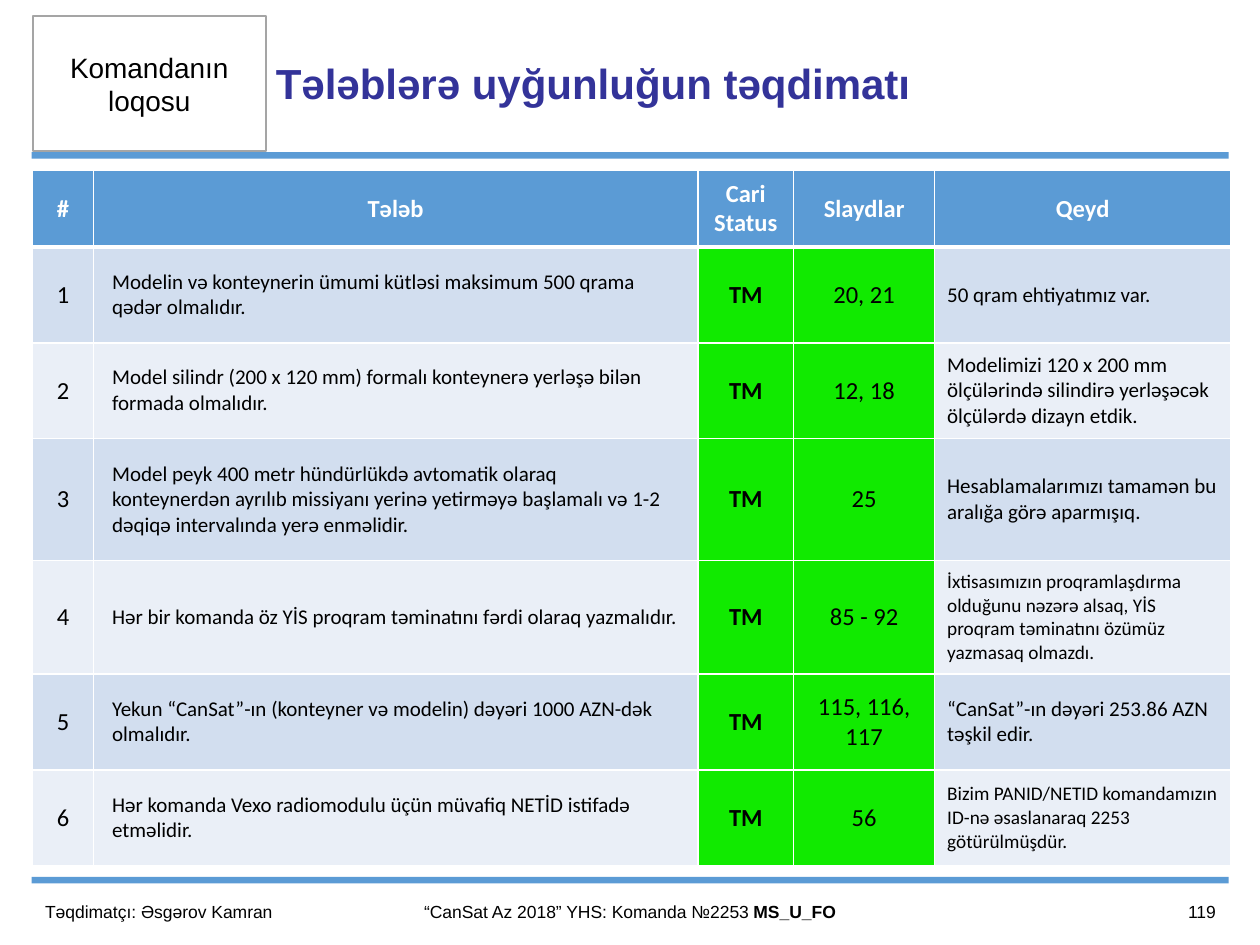
from lxml import etree
from pptx import Presentation
from pptx.dml.color import RGBColor
from pptx.enum.shapes import MSO_SHAPE
from pptx.enum.text import MSO_ANCHOR, MSO_AUTO_SIZE, PP_ALIGN
from pptx.oxml.ns import qn
from pptx.util import Cm, Pt

RECT = MSO_SHAPE.RECTANGLE
MID = MSO_ANCHOR.MIDDLE
LEFT, CENTER, RIGHT = PP_ALIGN.LEFT, PP_ALIGN.CENTER, PP_ALIGN.RIGHT

HUES = {"blue": "5B9BD5", "navy": "333399", "gray": "A5A5A5", "green": "11EA00",
        "odd": "D2DEEF", "even": "EAEFF7", "white": "FFFFFF", "black": "000000"}
RGB = {name: RGBColor.from_string(code) for name, code in HUES.items()}


def write(para, text, hue="black", **form):
    run = para.add_run()
    run.text = text
    for name, value in form.items():
        setattr(run.font, name, value)
    run.font.color.rgb = RGB[hue]


def edge(cell, top, base):
    """Draw white borders; must run before the cell gets its fill."""
    props = cell._tc.get_or_add_tcPr()
    for side, width in {"L": 1, "R": 1, "T": top, "B": base}.items():
        line = etree.SubElement(props, qn(f"a:ln{side}"), w=str(Pt(width)))
        fill = etree.SubElement(line, qn("a:solidFill"))
        etree.SubElement(fill, qn("a:srgbClr"), val=HUES["white"])


deck = Presentation()
deck.slide_width, deck.slide_height = Cm(25.4), Cm(19.05)
slide = deck.slides.add_slide(deck.slide_layouts[5])
shapes = slide.shapes

# Rules above and below the table
for top in (3.07, 17.68):
    rule = shapes.add_shape(RECT, Cm(0.64), Cm(top), Cm(24.13), Cm(0.13))
    rule.shadow.inherit = False
    rule.fill.solid()
    rule.fill.fore_color.rgb = RGB["blue"]
    rule.line.fill.background()

# Team logo box
logo = shapes.add_shape(RECT, Cm(0.66), Cm(0.33), Cm(4.7), Cm(2.72))
logo.shadow.inherit = False
logo.fill.solid()
logo.fill.fore_color.rgb = RGB["white"]
logo.line.color.rgb = RGB["gray"]
logo.line.width = Pt(1)
frame = logo.text_frame
frame.word_wrap = True
frame.vertical_anchor = MID
frame.paragraphs[0].alignment = CENTER
write(frame.paragraphs[0], "Komandanın loqosu", size=Pt(16), name="Arial")

# Title
title = shapes.title
title.left, title.top, title.width, title.height = Cm(5.38), Cm(0.33), Cm(15.24), Cm(2.69)
frame = title.text_frame
look = {"auto_size": MSO_AUTO_SIZE.NONE, "word_wrap": True, "vertical_anchor": MID,
        "margin_left": Cm(0.18), "margin_right": Cm(0.18),
        "margin_top": Cm(0.1), "margin_bottom": Cm(0.1)}
for name, value in look.items():
    setattr(frame, name, value)
frame.paragraphs[0].alignment = LEFT
write(frame.paragraphs[0], "Tələblərə uyğunluğun təqdimatı", "navy",
      size=Pt(24), name="Arial", bold=True)

# Requirements table: requirement, slides, note, note size
heads = ["#", "Tələb", "Cari Status", "Slaydlar", "Qeyd"]
needs = [
    ("Modelin və konteynerin ümumi kütləsi maksimum 500 qrama qədər olmalıdır.",
     "20, 21", "50 qram ehtiyatımız var.", 12),
    ("Model silindr (200 x 120 mm) formalı konteynerə yerləşə bilən formada olmalıdır.",
     "12, 18", "Modelimizi 120 x 200 mm ölçülərində silindirə yerləşəcək ölçülərdə dizayn etdik.", 12),
    ("Model peyk 400 metr hündürlükdə avtomatik olaraq konteynerdən ayrılıb missiyanı "
     "yerinə yetirməyə başlamalı və 1-2 dəqiqə intervalında yerə enməlidir.",
     "25", "Hesablamalarımızı tamamən bu aralığa görə aparmışıq.", 12),
    ("Hər bir komanda öz YİS proqram təminatını fərdi olaraq yazmalıdır.",
     "85 - 92", "İxtisasımızın proqramlaşdırma olduğunu nəzərə alsaq, YİS proqram "
     "təminatını özümüz yazmasaq olmazdı.", 11),
    ("Yekun “CanSat”-ın (konteyner və modelin) dəyəri 1000 AZN-dək olmalıdır.",
     "115, 116, 117", "“CanSat”-ın dəyəri 253.86 AZN təşkil edir.", 12),
    ("Hər komanda Vexo radiomodulu üçün müvafiq NETİD istifadə etməlidir.",
     "56", "Bizim PANID/NETID komandamızın ID-nə əsaslanaraq 2253 götürülmüşdür.", 11),
]
widths = [1.22, 12.19, 1.93, 2.84, 5.97]
heights = [1.55, 1.93, 1.93, 2.46, 2.29, 1.93, 1.93]
table = shapes.add_table(len(heights), len(widths), Cm(0.66), Cm(3.43),
                         Cm(sum(widths)), Cm(sum(heights))).table
for col, width in zip(table.columns, widths):
    col.width = Cm(width)
for row, height in zip(table.rows, heights):
    row.height = Cm(height)

rows = [heads] + [[str(num), need, "TM", pages, note]
                  for num, (need, pages, note, _) in enumerate(needs, 1)]
for r, texts in enumerate(rows):
    head = r == 0
    band = "blue" if head else "odd" if r % 2 else "even"
    sizes = [14] * 5 if head else [14, 12, 14, 14, needs[r - 1][3]]
    for c, text in enumerate(texts):
        cell = table.cell(r, c)
        edge(cell, 3 if r == 1 else 1, 3 if head else 1)
        cell.fill.solid()
        cell.fill.fore_color.rgb = RGB["green" if not head and c in (2, 3) else band]
        cell.vertical_anchor = MID
        if c == 1 and not head:
            for side in ("left", "top", "right", "bottom"):
                setattr(cell, f"margin_{side}", Cm(0.38))
        para = cell.text_frame.paragraphs[0]
        para.alignment = LEFT if not head and c in (1, 4) else CENTER
        write(para, text, "white" if head else "black", size=Pt(sizes[c]),
              name="Calibri", bold=head or c == 2)

# Footer
foot = [
    (0.66, 6.07, LEFT, [("Təqdimatçı: Əsgərov Kamran", False)]),
    (6.73, 11.94, CENTER, [("“CanSat Az 2018” YHS: Komanda №2253 ", False), ("MS_U_FO", True)]),
    (22.22, 2.54, RIGHT, [("119", False)]),
]
for left, width, align, runs in foot:
    frame = shapes.add_textbox(Cm(left), Cm(17.86), Cm(width), Cm(1.02)).text_frame
    frame.word_wrap = True
    frame.vertical_anchor = MID
    frame.paragraphs[0].alignment = align
    for text, bold in runs:
        write(frame.paragraphs[0], text, size=Pt(10), name="Arial", bold=bold)

deck.save("out.pptx")
